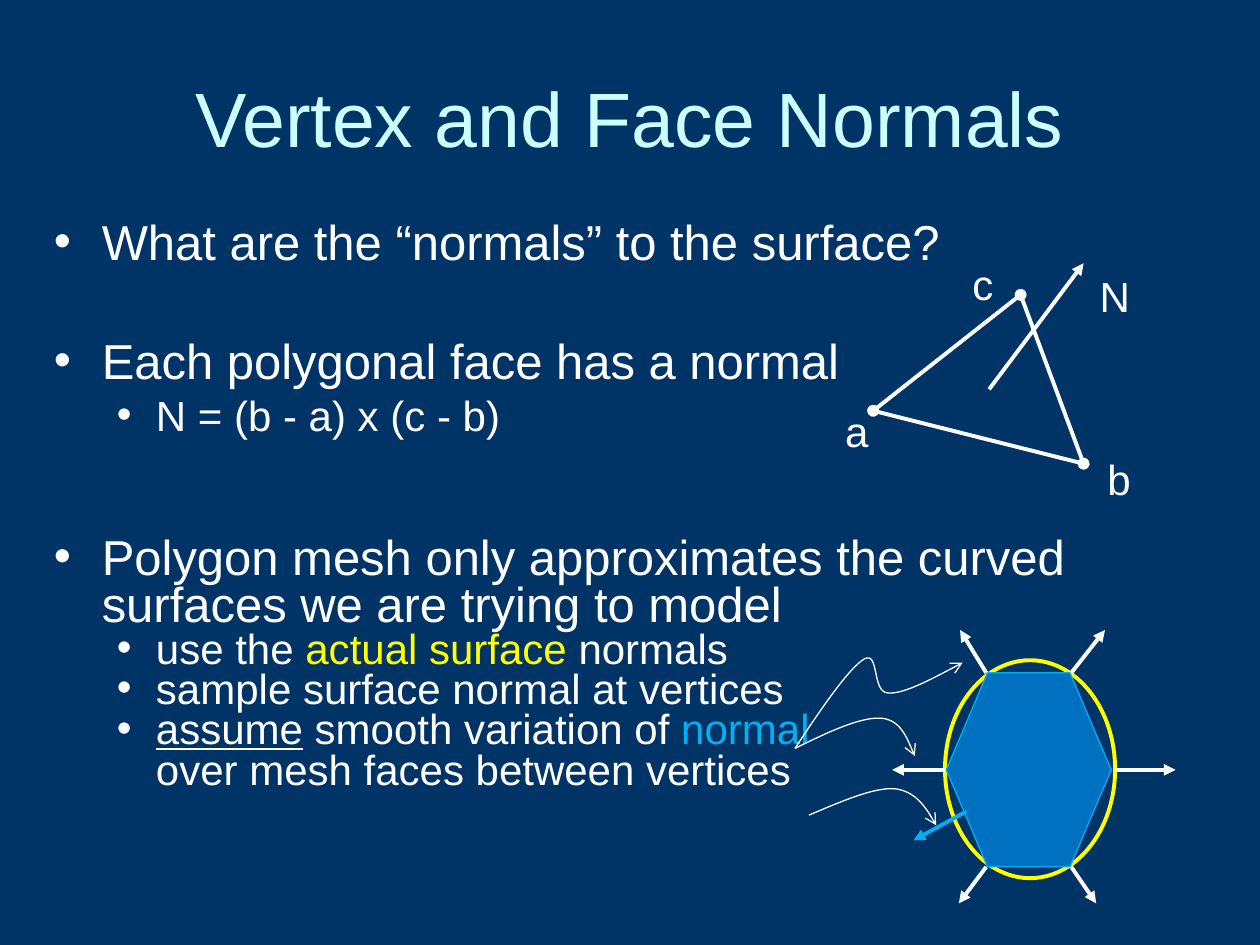
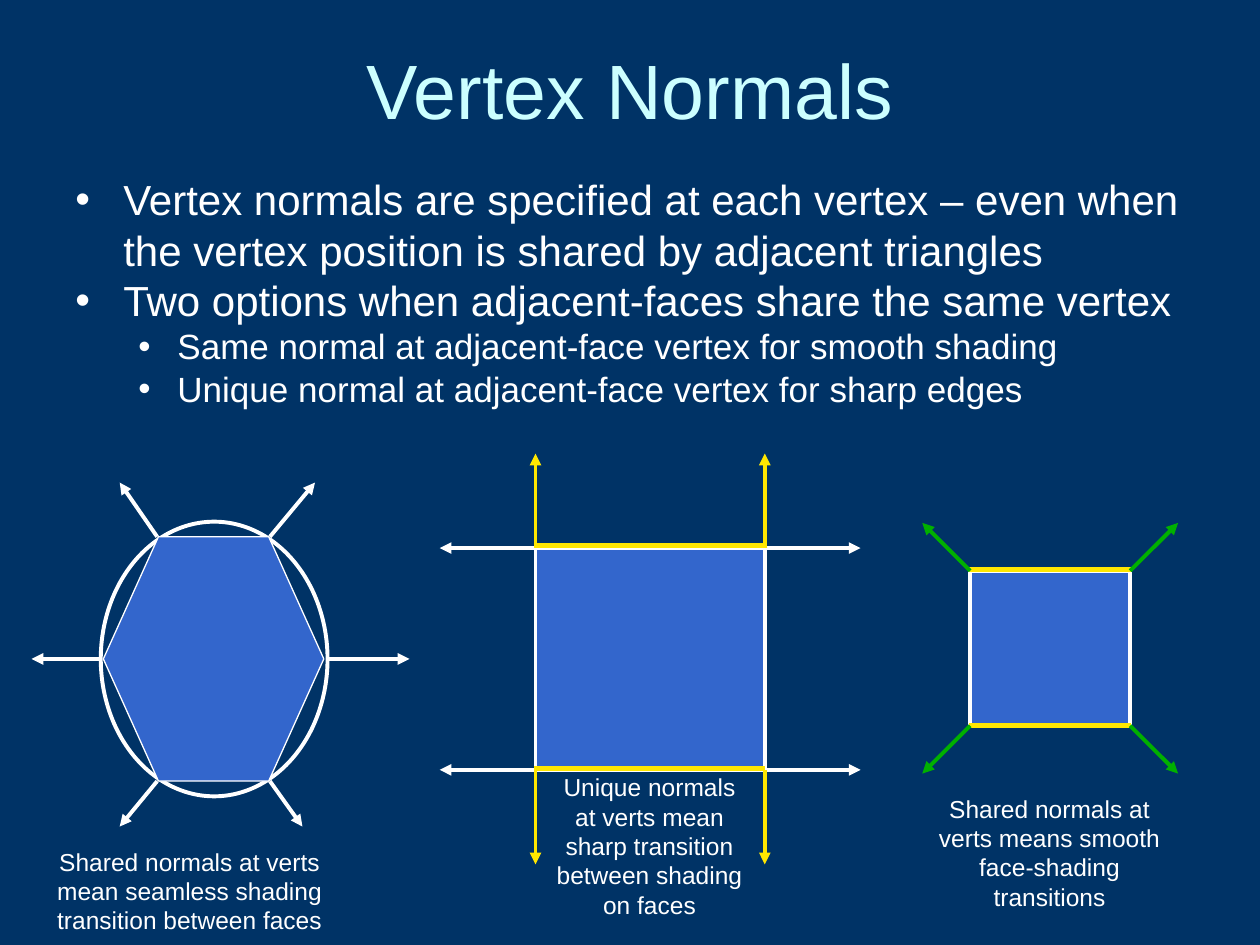
from lxml import etree
from pptx import Presentation
from pptx.dml.color import RGBColor
from pptx.enum.shapes import MSO_CONNECTOR as Link, MSO_SHAPE as Kind
from pptx.enum.text import MSO_ANCHOR as Anchor, PP_ALIGN as Align
from pptx.oxml.ns import qn
from pptx.util import Inches, Pt

FONT = "Arial"
NAVY, WHITE, PALE = "003366", "FFFFFF", "CCFFFF"
YELLOW, GOLD, GREEN = "FFFF00", "FFE701", "00B000"
SKY, AZURE, BLUE = "00B0F0", "0070C0", "3366CC"
INDENTS = [(0.38, -0.38), (0.81, -0.31)]


def rgb(code):
    """Turn a hex string into a colour."""
    return RGBColor.from_string(code)


def style(font, size, color=WHITE):
    """Set the face, size and colour of a font."""
    font.name, font.size = FONT, Pt(size)
    font.color.rgb = rgb(color)


def add_box(slide, box, wrap=True):
    """Add an empty text box and return its frame."""
    frame = slide.shapes.add_textbox(*map(Inches, box)).text_frame
    frame.word_wrap = wrap
    return frame


def add_text(slide, box, text, size, color=WHITE, align=Align.CENTER, wrap=True):
    """Add a text box that holds one paragraph."""
    frame = add_box(slide, box, wrap)
    frame.text = text
    para = frame.paragraphs[0]
    para.alignment = align
    style(para.runs[0].font, size, color)
    return frame


def add_slide(deck, title, top):
    """Add a blank slide with the shared ground and title."""
    slide = deck.slides.add_slide(deck.slide_layouts[6])
    slide.background.fill.solid()
    slide.background.fill.fore_color.rgb = rgb(NAVY)
    frame = add_text(slide, (0.5, top, 9, 1.25), title, 44, PALE)
    frame.vertical_anchor = Anchor.MIDDLE
    return slide


def set_bullet(para, level):
    """Give a paragraph a hanging white bullet."""
    props = para._p.get_or_add_pPr()
    left, hang = INDENTS[level]
    props.set("marL", str(Inches(left)))
    props.set("indent", str(Inches(hang)))
    tint = etree.SubElement(props, qn("a:buClr"))
    etree.SubElement(tint, qn("a:srgbClr"), val=WHITE)
    etree.SubElement(props, qn("a:buFont"), typeface=FONT)
    etree.SubElement(props, qn("a:buChar"), char="•")


def add_list(slide, box, items, sizes, pitch=1.0):
    """Add bullets given as level, space before and coloured pieces."""
    frame = add_box(slide, box)
    for i, (level, space, pieces) in enumerate(items):
        para = frame.add_paragraph() if i else frame.paragraphs[0]
        para.level = level
        para.line_spacing, para.space_before = pitch, Pt(space)
        set_bullet(para, level)
        for text, color in pieces:
            if text == "\n":
                para.add_line_break()
                continue
            run = para.add_run()
            run.text = text
            style(run.font, sizes[level], color)
    return frame


def add_line(slide, start, end, color=WHITE, width=2.25, head=None, tail=None):
    """Draw a straight line with optional ends."""
    line = slide.shapes.add_connector(Link.STRAIGHT, *map(Inches, start + end))
    paint_line(line, color, width, head, tail)
    etree.SubElement(line._element.spPr, qn("a:effectLst"))


def add_arrow(slide, start, end, color=WHITE):
    """Draw a line that ends in a solid arrowhead."""
    add_line(slide, start, end, color, tail="triangle")


def paint_line(shape, color, width, head=None, tail=None):
    """Set the colour, width and ends of an outline."""
    shape.line.color.rgb = rgb(color)
    shape.line.width = Pt(width)
    ln = shape.line._get_or_add_ln()
    for tag, kind in (("a:headEnd", head), ("a:tailEnd", tail)):
        if kind:
            etree.SubElement(ln, qn(tag), type=kind)


def add_form(slide, kind, box, fill, color, width):
    """Add a preset shape, hollow if there is no fill."""
    form = slide.shapes.add_shape(kind, *map(Inches, box))
    form.shadow.inherit = False
    if fill:
        form.fill.solid()
        form.fill.fore_color.rgb = rgb(fill)
    else:
        form.fill.background()
    paint_line(form, color, width)


def add_curve(slide, start, *bends, steps=16):
    """Draw an arrow along a chain of cubic bends."""
    points, last = [], start
    for bend in bends:
        knots = (last, bend[:2], bend[2:4], bend[4:])
        for i in range(1, steps + 1):
            t = i / steps
            mix = ((1 - t) ** 3, 3 * t * (1 - t) ** 2, 3 * t * t * (1 - t), t ** 3)
            points.append([Inches(sum(m * k[axis] for m, k in zip(mix, knots)))
                           for axis in (0, 1)])
        last = bend[4:]
    path = slide.shapes.build_freeform(*map(Inches, start), scale=1.0)
    path.add_line_segments(points, close=False)
    curve = path.convert_to_shape()
    curve.shadow.inherit = False
    curve.fill.background()
    paint_line(curve, WHITE, 0.75, tail="arrow")


def add_mesh(slide, ring, cell, ring_color, fill, edge, tips):
    """Draw a hexagon in a ring with an arrow at each vertex."""
    add_form(slide, Kind.OVAL, ring, None, ring_color, 2.25)
    add_form(slide, Kind.HEXAGON, cell, fill, edge, 0.75)
    x, y, w, h = cell
    inset = w / 4 - 0.01
    near, far, low, mid = x + inset, x + w - inset, y + h, y + h / 2
    roots = [(near, y), (ring[0], mid), (ring[0] + ring[2], mid),
             (far, y), (near, low), (far, low)]
    for root, tip in zip(roots, tips):
        add_arrow(slide, root, tip)


def add_square(slide, box):
    """Draw a blue square and return its corners with outward signs."""
    add_form(slide, Kind.RECTANGLE, box, BLUE, WHITE, 2.25)
    x, y, w, h = box
    return [(x + w * i, y + h * j, 2 * i - 1, 2 * j - 1)
            for j in (0, 1) for i in (0, 1)]


def add_rims(slide, left, right, *rows):
    """Draw the gold top and bottom edges of a square."""
    for y in rows:
        add_line(slide, (left, y), (right, y), GOLD, 3)


def draw_faces(deck):
    """Build the slide on vertex and face normals."""
    slide = add_slide(deck, "Vertex and Face Normals", 0.3)
    frame = add_list(slide, (0.33, 1.72, 9.17, 4.95), [
        (0, 0, [("What are the “normals” to the surface?", WHITE)]),
        (0, 41, [("Each polygonal face has a normal", WHITE)]),
        (1, 6, [("N = (b - a) x (c - b)", WHITE)]),
        (0, 56, [("Polygon mesh only approximates the curved "
                  "surfaces we are trying to model", WHITE)]),
        (1, 0, [("use the ", WHITE), ("actual surface ", YELLOW),
                ("normals", WHITE)]),
        (1, 0, [("sample surface normal at vertices", WHITE)]),
        (1, 0, [("assume", WHITE), (" smooth variation of ", WHITE),
                ("normal ", SKY), ("\n", SKY),
                ("over mesh faces between vertices", WHITE)]),
    ], (28, 24), 0.8)
    frame.paragraphs[-1].runs[0].font.underline = True

    a, b, c = (6.93, 3.26), (8.6, 3.68), (8.1, 2.34)
    for start, end in ((a, c), (a, b), (b, c)):
        add_line(slide, start, end, head="oval", tail="oval")
    add_arrow(slide, (7.85, 3.09), (8.6, 2.09))
    for name, x, y in (("a", 6.61, 3.17), ("b", 8.69, 3.55),
                       ("c", 7.62, 2), ("N", 8.63, 2.1)):
        add_text(slide, (x, y, 0.4, 0.5), name, 24, align=Align.LEFT, wrap=False)

    add_mesh(slide, (7.5, 5.24, 1.35, 1.73), (7.51, 5.34, 1.31, 1.54),
             YELLOW, AZURE, SKY,
             [(7.62, 5), (7.08, 6.11), (9.33, 6.11),
              (8.77, 5), (7.61, 7.17), (8.7, 7.17)])
    add_arrow(slide, (7.67, 6.44), (7.25, 6.67), SKY)
    add_curve(slide, (6.31, 5.94), (6.52, 5.62, 6.74, 5.3, 6.86, 5.23),
              (6.98, 5.16, 6.92, 5.5, 7.05, 5.5),
              (7.18, 5.51, 7.41, 5.38, 7.64, 5.26))
    add_curve(slide, (6.31, 5.94), (6.57, 5.81, 6.83, 5.69, 6.99, 5.7),
              (7.15, 5.71, 7.2, 5.86, 7.26, 6))
    add_curve(slide, (6.42, 6.47), (6.68, 6.36, 6.93, 6.25, 7.1, 6.26),
              (7.27, 6.28, 7.35, 6.41, 7.43, 6.55))


def draw_verts(deck):
    """Build the slide on shared and unique vertex normals."""
    slide = add_slide(deck, "Vertex Normals", 0.08)
    lines = [
        (0, "Vertex normals are specified at each vertex – even when "
            "the vertex position is shared by adjacent triangles"),
        (0, "Two options when adjacent-faces share the same vertex"),
        (1, "Same normal at adjacent-face vertex for smooth shading"),
        (1, "Unique normal at adjacent-face vertex for sharp edges"),
    ]
    add_list(slide, (0.5, 1.33, 9.08, 5.12),
             [(level, 0, [(text, WHITE)]) for level, text in lines], (24, 20))

    add_mesh(slide, (0.8, 4.14, 1.8, 2.18), (0.82, 4.26, 1.75, 1.94),
             WHITE, BLUE, WHITE,
             [(0.95, 3.83), (0.25, 5.23), (3.25, 5.23),
              (2.5, 3.83), (0.95, 6.56), (2.4, 6.56)])

    for x, y, across, down in add_square(slide, (4.25, 4.35, 1.82, 1.76)):
        add_arrow(slide, (x, y), (x + 0.76 * across, y))
        add_arrow(slide, (x, y), (x, y + 0.75 * down), GOLD)
    add_rims(slide, 4.24, 6.07, 4.33, 6.1)

    corners = add_square(slide, (7.7, 4.53, 1.27, 1.23))
    add_rims(slide, 7.69, 8.98, 4.52, 5.76)
    for x, y, across, down in corners:
        add_arrow(slide, (x, y), (x + 0.38 * across, y + 0.38 * down), GREEN)

    for box, text in (
        ((0.17, 6.67, 2.67, 0.8),
         "Shared normals at verts mean seamless shading transition between faces"),
        ((4.28, 6.08, 1.75, 1.27),
         "Unique normals at verts mean sharp transition between shading on faces"),
        ((7.33, 6.25, 2, 1.04),
         "Shared normals at verts means smooth face-shading transitions"),
    ):
        add_text(slide, box, text, 14)


def main():
    """Build and save the deck."""
    deck = Presentation()
    deck.slide_width, deck.slide_height = Inches(10), Inches(7.5)
    draw_faces(deck)
    draw_verts(deck)
    deck.save("out.pptx")


if __name__ == "__main__":
    main()
